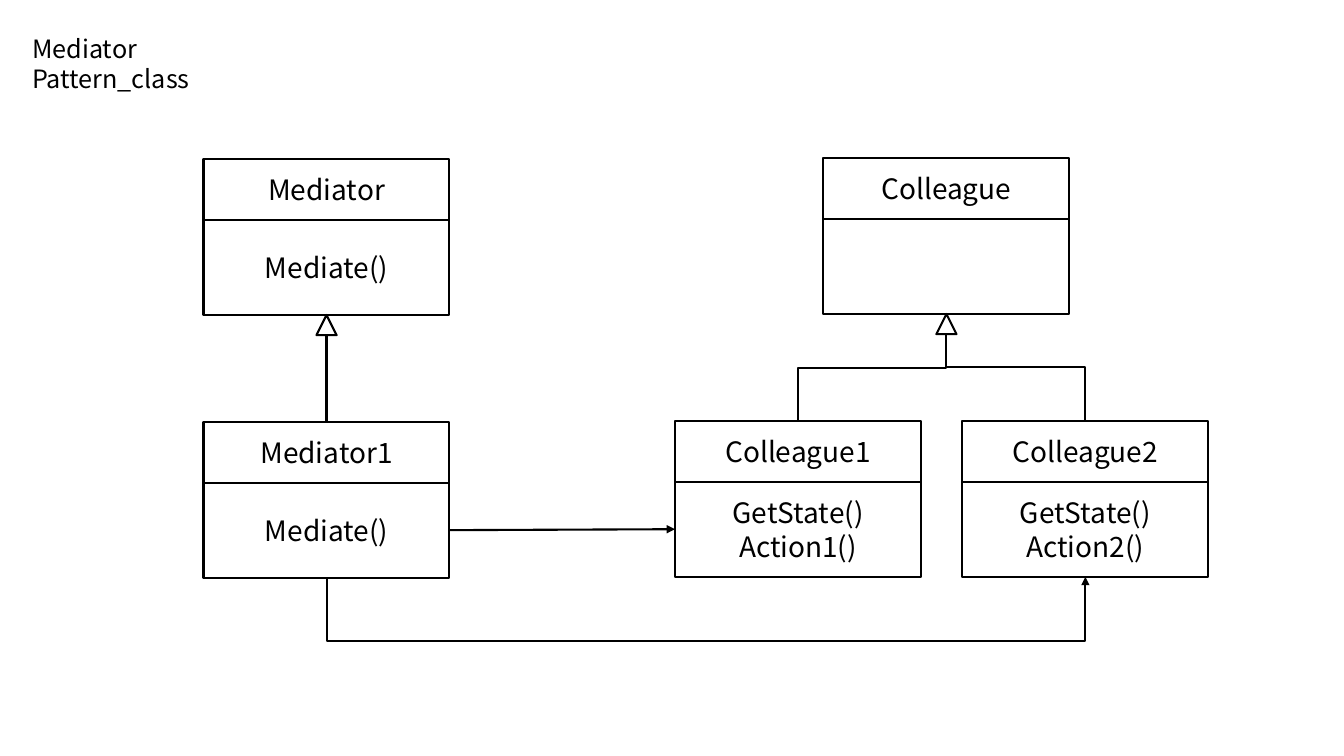
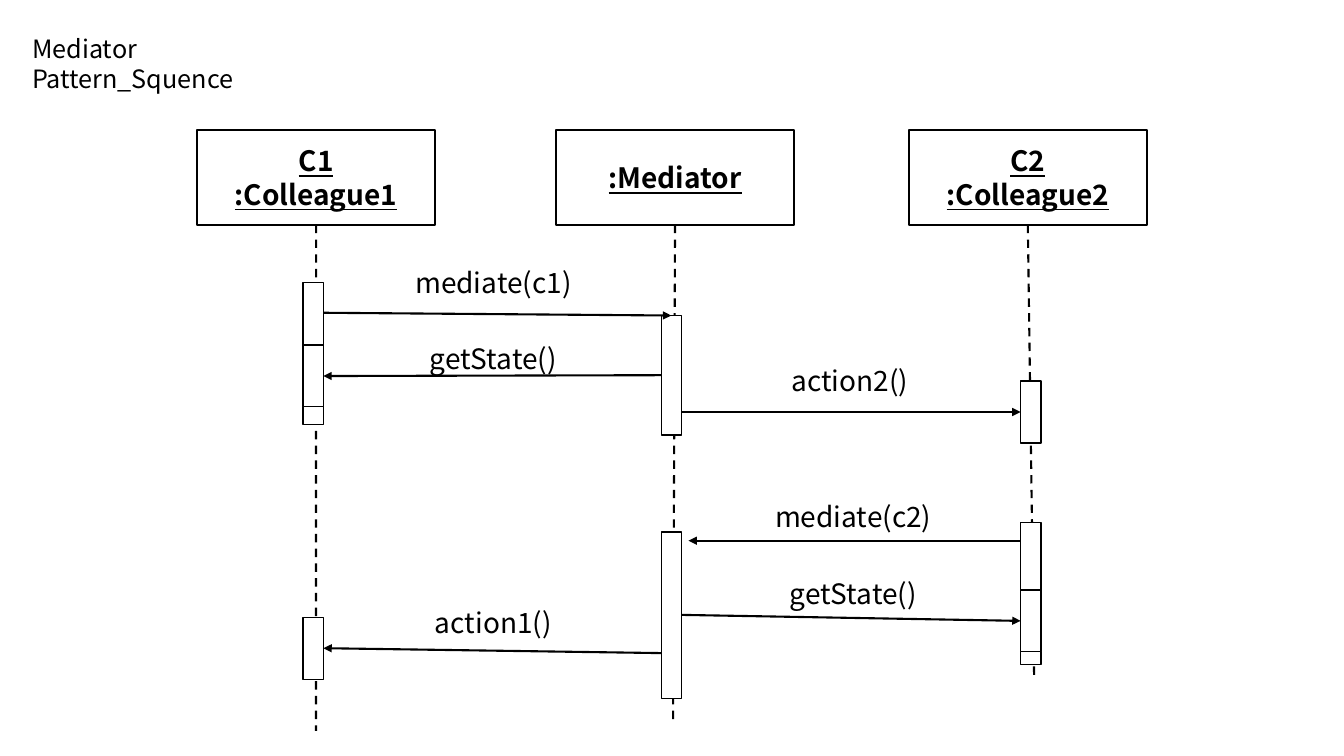
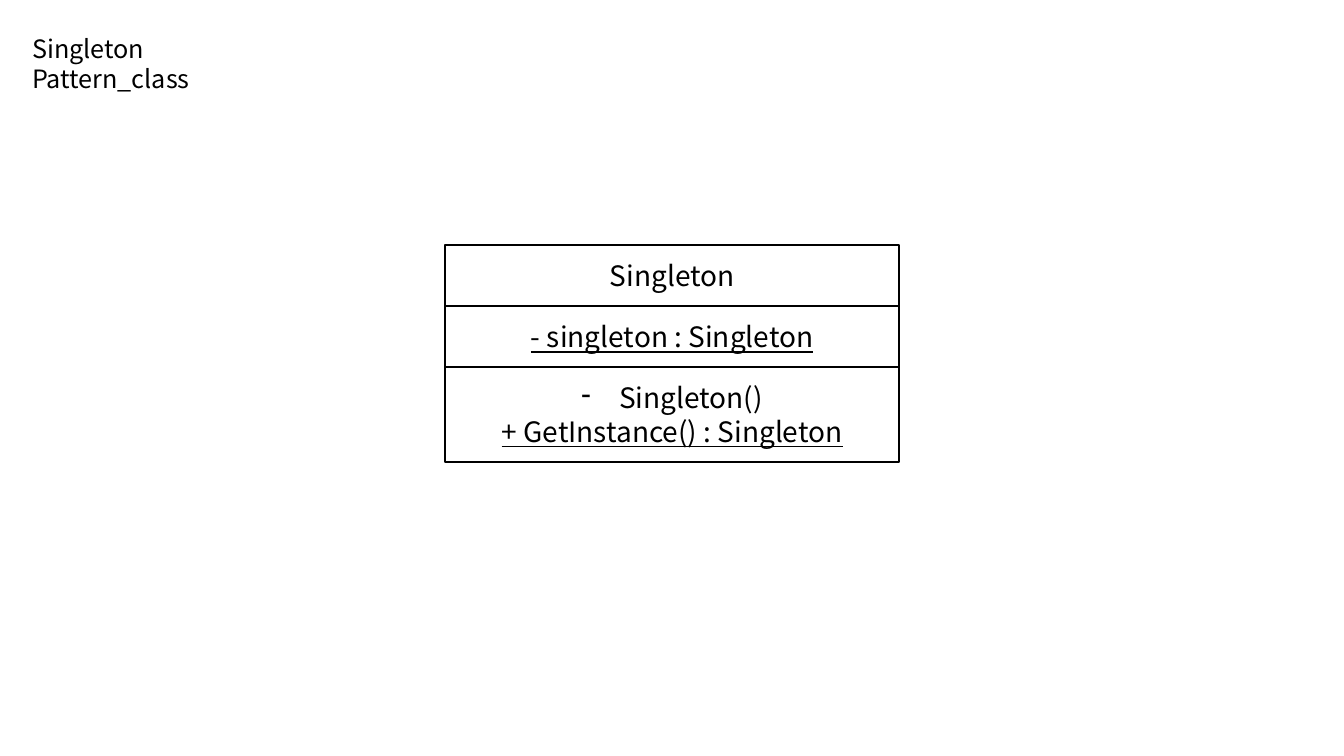
"""Build three UML slides for the Mediator and Singleton patterns."""
from dataclasses import dataclass

from lxml.etree import SubElement
from pptx import Presentation
from pptx.dml.color import RGBColor
from pptx.enum.dml import MSO_LINE
from pptx.enum.shapes import MSO_CONNECTOR as Link, MSO_SHAPE as Preset
from pptx.enum.text import MSO_ANCHOR, MSO_AUTO_SIZE, PP_ALIGN
from pptx.oxml.ns import qn
from pptx.util import Pt

FONT = "Noto Sans CJK KR"
BLACK, WHITE = "000000", "FFFFFF"
TITLE_SIZE, TEXT_SIZE = 18, 20
LINE_WIDTH, BAR_LINE_WIDTH = 1.5, 1
CLASS_WIDTH, NAME_HEIGHT, MEMBERS_HEIGHT = 175.7, 43.6, 67.7
TRIANGLE_SIZE = 14.4
OBJECT_TOP, OBJECT_WIDTH, OBJECT_HEIGHT = 92.9, 170, 67.7
BAR_WIDTH, SHORT_BAR, LONG_BAR = 14.6, 44.2, 101.5
LABEL_WIDTH, LABEL_HEIGHT = 169.2, 42


@dataclass(frozen=True)
class Line:
    text: str
    bold: bool = False
    underline: bool = False
    bullet: str = ""


@dataclass(frozen=True)
class Box:
    left: float
    top: float
    width: float
    height: float
    lines: tuple[Line, ...] = ()


@dataclass(frozen=True)
class ClassBox:
    left: float
    top: float
    name: str
    members: tuple[str, ...] = ()

    @property
    def center(self) -> float:
        return self.left + CLASS_WIDTH / 2

    @property
    def bottom(self) -> float:
        return self.top + NAME_HEIGHT + MEMBERS_HEIGHT


@dataclass(frozen=True)
class Lifeline:
    left: float
    names: tuple[str, ...]
    end_x: float
    end_y: float


@dataclass(frozen=True)
class Message:
    text: str
    label_left: float
    label_top: float
    start: tuple[float, float]
    end: tuple[float, float]


def color(value: str) -> RGBColor:
    return RGBColor.from_string(value)


def format_runs(paragraph, size: float, line: Line) -> None:
    for run in paragraph.runs:
        run.font.name = FONT
        run.font.size = Pt(size)
        run.font.bold = line.bold
        run.font.underline = line.underline
        run.font.color.rgb = color(BLACK)


def write_lines(text_frame, lines: tuple[Line, ...]) -> None:
    text_frame.word_wrap = True
    text_frame.vertical_anchor = MSO_ANCHOR.MIDDLE
    text_frame.text = "\n".join(line.text for line in lines)
    for paragraph, line in zip(text_frame.paragraphs, lines):
        paragraph.alignment = PP_ALIGN.CENTER
        format_runs(paragraph, TEXT_SIZE, line)
        if line.bullet:
            properties = paragraph._p.get_or_add_pPr()
            properties.set("marL", str(Pt(27)))
            properties.set("indent", str(-Pt(27)))
            SubElement(properties, qn("a:buChar"), char=line.bullet)


def add_box(slide, box: Box, preset=Preset.RECTANGLE, line_width: float = LINE_WIDTH) -> None:
    shape = slide.shapes.add_shape(preset, Pt(box.left), Pt(box.top), Pt(box.width), Pt(box.height))
    shape.shadow.inherit = False
    shape.fill.solid()
    shape.fill.fore_color.rgb = color(WHITE)
    shape.line.color.rgb = color(BLACK)
    shape.line.width = Pt(line_width)
    if box.lines:
        write_lines(shape.text_frame, box.lines)


def add_line(slide, start: tuple[float, float], end: tuple[float, float],
             arrow: bool = True, dashed: bool = False):
    connector = slide.shapes.add_connector(Link.STRAIGHT, *(Pt(value) for value in start + end))
    style_connector(connector, arrow, dashed)
    return connector


def style_connector(connector, arrow: bool, dashed: bool = False) -> None:
    connector.line.color.rgb = color(BLACK)
    connector.line.width = Pt(LINE_WIDTH)
    if dashed:
        connector.line.dash_style = MSO_LINE.DASH
    if arrow:
        SubElement(connector.line._get_or_add_ln(), qn("a:tailEnd"), type="triangle")
    SubElement(connector._element.spPr, qn("a:effectLst"))


def add_rising_elbow(slide, start: tuple[float, float], end: tuple[float, float], turn_y: float) -> None:
    """Leave start vertically, cross over at turn_y, and reach the higher end vertically."""
    (start_x, start_y), (end_x, end_y) = start, end
    rise, run = start_y - end_y, abs(end_x - start_x)
    middle_x, middle_y = (start_x + end_x) / 2, (start_y + end_y) / 2
    connector = slide.shapes.add_connector(
        Link.ELBOW, Pt(middle_x - rise / 2), Pt(middle_y - run / 2),
        Pt(middle_x + rise / 2), Pt(middle_y + run / 2))
    properties = connector._element.spPr
    frame = properties.find(qn("a:xfrm"))
    frame.set("rot", str(270 * 60000))
    if end_x < start_x:
        frame.set("flipV", "1")
    adjustments = properties.find(qn("a:prstGeom")).get_or_add_avLst()
    share = round((start_y - turn_y) / rise * 100000)
    SubElement(adjustments, qn("a:gd"), name="adj1", fmla=f"val {share}")
    style_connector(connector, arrow=True)


def add_triangle(slide, center: float, top: float) -> None:
    add_box(slide, Box(center - TRIANGLE_SIZE / 2, top, TRIANGLE_SIZE, TRIANGLE_SIZE),
            Preset.ISOSCELES_TRIANGLE)


def add_class(slide, item: ClassBox) -> None:
    add_box(slide, Box(item.left, item.top, CLASS_WIDTH, NAME_HEIGHT, (Line(item.name),)))
    members = tuple(Line(member) for member in item.members)
    add_box(slide, Box(item.left, item.top + NAME_HEIGHT, CLASS_WIDTH, MEMBERS_HEIGHT, members))


def add_lifeline(slide, item: Lifeline) -> None:
    lines = tuple(Line(name, bold=True, underline=True) for name in item.names)
    add_box(slide, Box(item.left, OBJECT_TOP, OBJECT_WIDTH, OBJECT_HEIGHT, lines))
    start = (item.left + OBJECT_WIDTH / 2, OBJECT_TOP + OBJECT_HEIGHT)
    add_line(slide, start, (item.end_x, item.end_y), arrow=False, dashed=True)


def add_message(slide, message: Message) -> None:
    label = slide.shapes.add_textbox(Pt(message.label_left), Pt(message.label_top),
                                     Pt(LABEL_WIDTH), Pt(LABEL_HEIGHT))
    write_lines(label.text_frame, (Line(message.text),))
    add_line(slide, message.start, message.end)


def add_titled_slide(presentation, title: str):
    slide = presentation.slides.add_slide(presentation.slide_layouts[5])
    shape = slide.shapes.title
    shape.left, shape.top, shape.width, shape.height = Pt(15.8), Pt(20.2), Pt(200), Pt(50)
    text_frame = shape.text_frame
    text_frame.text = title
    text_frame.word_wrap = True
    text_frame.auto_size = MSO_AUTO_SIZE.NONE
    text_frame.vertical_anchor = MSO_ANCHOR.TOP
    text_frame.paragraphs[0].alignment = PP_ALIGN.LEFT
    format_runs(text_frame.paragraphs[0], TITLE_SIZE, Line(title))
    return slide


def build_mediator_classes(presentation) -> None:
    slide = add_titled_slide(presentation, "Mediator Pattern_class")
    mediator = ClassBox(145.4, 113.7, "Mediator", ("Mediate()",))
    mediator1 = ClassBox(145.4, 301.4, "Mediator1", ("Mediate()",))
    colleague = ClassBox(588.2, 113, "Colleague")
    colleague1 = ClassBox(482.2, 300.7, "Colleague1", ("GetState()", "Action1()"))
    colleague2 = ClassBox(687.4, 300.7, "Colleague2", ("GetState()", "Action2()"))
    for item in (mediator, mediator1, colleague, colleague1, colleague2):
        add_class(slide, item)

    add_line(slide, (mediator1.center, mediator1.top), (mediator.center, mediator.bottom))
    for child, turn_y in ((colleague1, 262.8), (colleague2, 262.1)):
        add_rising_elbow(slide, (child.center, child.top), (colleague.center, colleague.bottom), turn_y)
    for parent in (mediator, colleague):
        add_triangle(slide, parent.center, parent.bottom)

    add_rising_elbow(slide, (mediator1.center, mediator1.bottom),
                     (colleague2.center, colleague2.bottom), 457.6)
    add_line(slide, (mediator1.left + CLASS_WIDTH, 378.7), (colleague1.left, 378))


def build_mediator_sequence(presentation) -> None:
    slide = add_titled_slide(presentation, "Mediator Pattern_Squence")
    lifelines = (
        Lifeline(140.8, ("C1", ":Colleague1"), 225.7, 522),
        Lifeline(397.2, (":Mediator",), 480.8, 515.5),
        Lifeline(649.2, ("C2", ":Colleague2"), 738.7, 484.6),
    )
    for lifeline in lifelines:
        add_lifeline(slide, lifeline)

    first, mediator, second = 216.4, 472.3, 729
    bars = (
        (first, 201.6, LONG_BAR), (first, 246.4, SHORT_BAR), (first, 441.2, SHORT_BAR),
        (mediator, 225.4, 85.5), (mediator, 380, 118.8),
        (second, 272.2, SHORT_BAR), (second, 373, LONG_BAR), (second, 421.4, SHORT_BAR),
    )
    for left, top, height in bars:
        add_box(slide, Box(left, top, BAR_WIDTH, height), line_width=BAR_LINE_WIDTH)

    first_right, mediator_right = first + BAR_WIDTH, mediator + BAR_WIDTH
    messages = (
        Message("mediate(c1)", 267.8, 180.7, (first_right, 223.4), (479.5, 225.4)),
        Message("getState()", 267.8, 235, (mediator, 268), (first_right, 268.6)),
        Message("action2()", 522.5, 250.5, (mediator_right, 294.3), (second, 294.3)),
        Message("mediate(c2)", 524.9, 347.9, (second, 386.2), (491.8, 386.2)),
        Message("getState()", 524.9, 402.9, (mediator_right, 439.2), (second, 443.5)),
        Message("action1()", 267.8, 423.6, (mediator, 466.5), (first_right, 463)),
    )
    for message in messages:
        add_message(slide, message)


def build_singleton_class(presentation) -> None:
    slide = add_titled_slide(presentation, "Singleton Pattern_class")
    top = 175
    compartments = (
        (NAME_HEIGHT, (Line("Singleton"),)),
        (NAME_HEIGHT, (Line("- singleton : Singleton", underline=True),)),
        (MEMBERS_HEIGHT, (Line("Singleton()", bullet="-"),
                          Line("+ GetInstance() : Singleton", underline=True))),
    )
    for height, lines in compartments:
        add_box(slide, Box(318, top, 324.3, height, lines))
        top += height


def main() -> None:
    presentation = Presentation()
    presentation.slide_width, presentation.slide_height = Pt(960), Pt(540)
    build_mediator_classes(presentation)
    build_mediator_sequence(presentation)
    build_singleton_class(presentation)
    presentation.save("out.pptx")


main()
